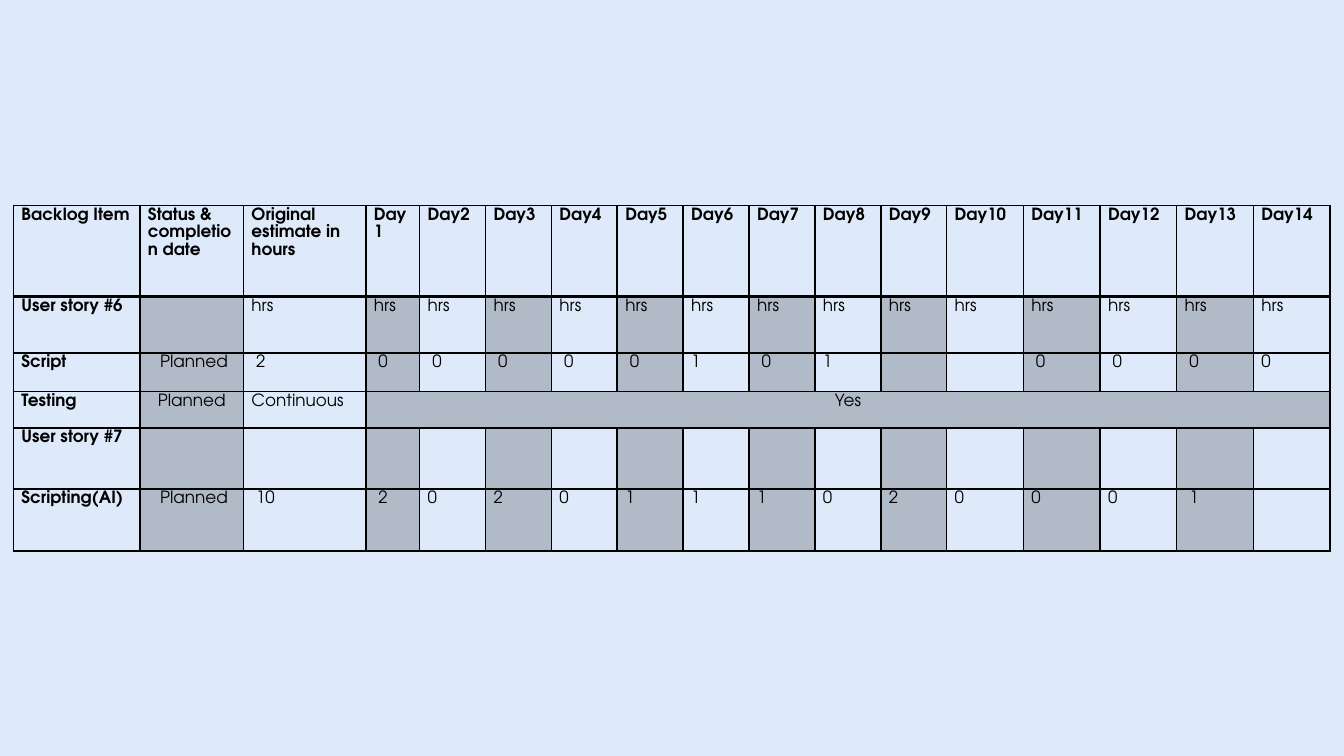
from dataclasses import dataclass

from lxml.etree import SubElement
from pptx import Presentation
from pptx.dml.color import RGBColor
from pptx.enum.text import PP_ALIGN
from pptx.oxml.ns import qn
from pptx.util import Inches, Pt


@dataclass(frozen=True)
class Theme:
    """Colours, type and line sizes of the slide."""

    font: str = "TeX Gyre Adventor"
    size: int = 9
    line_spacing: float = 1.15
    background: str = "DEE9F9"
    ink: str = "000000"
    header_opacity: int = 50
    shade_opacity: int = 20
    border: int = 1
    header_border: int = 2


THEME = Theme()
BLANK_LAYOUT = 6
SLIDE_WIDTH = 10
SLIDE_HEIGHT = SLIDE_WIDTH * 9 / 16
MARGIN = 0.06
TABLE_LEFT, TABLE_TOP, TABLE_WIDTH, TABLE_HEIGHT = 0.1, 1.53, 9.8, 2.57
COLUMN_SHARES = [0.94, 0.77, 0.91, 0.4] + [0.49] * 8 + [0.57] * 5
ROW_SHARES = [0.68, 0.42, 0.29, 0.27, 0.46, 0.46]
DAYS = 14
FIRST_DAY = 3
STATUS_COLUMN = 1
TESTING_ROW = 3
BACKLOG = [
    ["Backlog Item", "Status & completion date", "Original estimate in hours"]
    + [f"Day{day}" for day in range(1, DAYS + 1)],
    ["User story #6", ""] + ["hrs"] * (DAYS + 1),
    ["Script", " Planned", " 2"] + [" 0"] * 5
    + ["1", " 0", "1", "", "", " 0", " 0", " 0", "0"],
    ["Testing", "Planned", "Continuous", "Yes"] + [""] * (DAYS - 1),
    ["User story #7"] + [""] * (DAYS + 2),
    ["Scripting(AI)", " Planned", " 10", " 2"]
    + ["0", "2", "0", "1", "1", "1", "0", "2", "0", "0", "0", " 1", ""],
]


def split(total, shares):
    """Divide a length in inches by shares."""
    return [Inches(total * share / sum(shares)) for share in shares]


def set_borders(cell, bottom_width):
    """Draw the four sides of a cell."""
    properties = cell._tc.get_or_add_tcPr()
    for side in ("L", "R", "T", "B"):
        width = bottom_width if side == "B" else THEME.border
        line = SubElement(properties, qn(f"a:ln{side}"), w=str(Pt(width)))
        fill = SubElement(line, qn("a:solidFill"))
        SubElement(fill, qn("a:srgbClr"), val=THEME.ink)


def set_fill(cell, colour, opacity):
    """Fill a cell with a translucent colour."""
    cell.fill.solid()
    cell.fill.fore_color.rgb = RGBColor.from_string(colour)
    colour_element = cell._tc.tcPr.find(f"{qn('a:solidFill')}/{qn('a:srgbClr')}")
    SubElement(colour_element, qn("a:alpha"), val=str(opacity * 1000))


def set_text(cell, text, bold, centred):
    """Write one formatted paragraph in a cell."""
    cell.margin_left = cell.margin_right = Inches(MARGIN)
    cell.margin_top = cell.margin_bottom = 0
    paragraph = cell.text_frame.paragraphs[0]
    paragraph.text = text
    paragraph.line_spacing = THEME.line_spacing
    paragraph.alignment = PP_ALIGN.CENTER if centred else PP_ALIGN.LEFT
    for run in paragraph.runs:
        run.font.name = THEME.font
        run.font.size = Pt(THEME.size)
        run.font.bold = bold
        run.font.color.rgb = RGBColor.from_string(THEME.ink)
    if not text:
        SubElement(paragraph._p, qn("a:endParaRPr"), sz=str(THEME.size * 100))


def format_cell(cell, text, row, column):
    """Style a cell by its place in the backlog."""
    header = row == 0
    testing_days = row == TESTING_ROW and column >= FIRST_DAY
    centred = not header and (column == STATUS_COLUMN or testing_days)
    set_text(cell, text, header or column == 0, centred)
    set_borders(cell, THEME.header_border if header else THEME.border)
    if header:
        set_fill(cell, THEME.background, THEME.header_opacity)
    elif column % 2:
        set_fill(cell, THEME.ink, THEME.shade_opacity)
    else:
        cell.fill.background()


def add_backlog(slide):
    """Add the sprint backlog table."""
    frame = slide.shapes.add_table(
        len(ROW_SHARES), len(COLUMN_SHARES), Inches(TABLE_LEFT), Inches(TABLE_TOP),
        Inches(TABLE_WIDTH), Inches(TABLE_HEIGHT),
    )
    table = frame.table
    table.first_row = table.horz_banding = False
    for column, width in zip(table.columns, split(TABLE_WIDTH, COLUMN_SHARES)):
        column.width = width
    for row, height in zip(table.rows, split(TABLE_HEIGHT, ROW_SHARES)):
        row.height = height
    for row, texts in enumerate(BACKLOG):
        for column, text in enumerate(texts):
            format_cell(table.cell(row, column), text, row, column)
    last_day = table.cell(TESTING_ROW, len(COLUMN_SHARES) - 1)
    table.cell(TESTING_ROW, FIRST_DAY).merge(last_day)


def main():
    """Build and save the slide."""
    presentation = Presentation()
    presentation.slide_width = Inches(SLIDE_WIDTH)
    presentation.slide_height = Inches(SLIDE_HEIGHT)
    slide = presentation.slides.add_slide(presentation.slide_layouts[BLANK_LAYOUT])
    slide.background.fill.solid()
    slide.background.fill.fore_color.rgb = RGBColor.from_string(THEME.background)
    add_backlog(slide)
    presentation.save("out.pptx")


if __name__ == "__main__":
    main()
